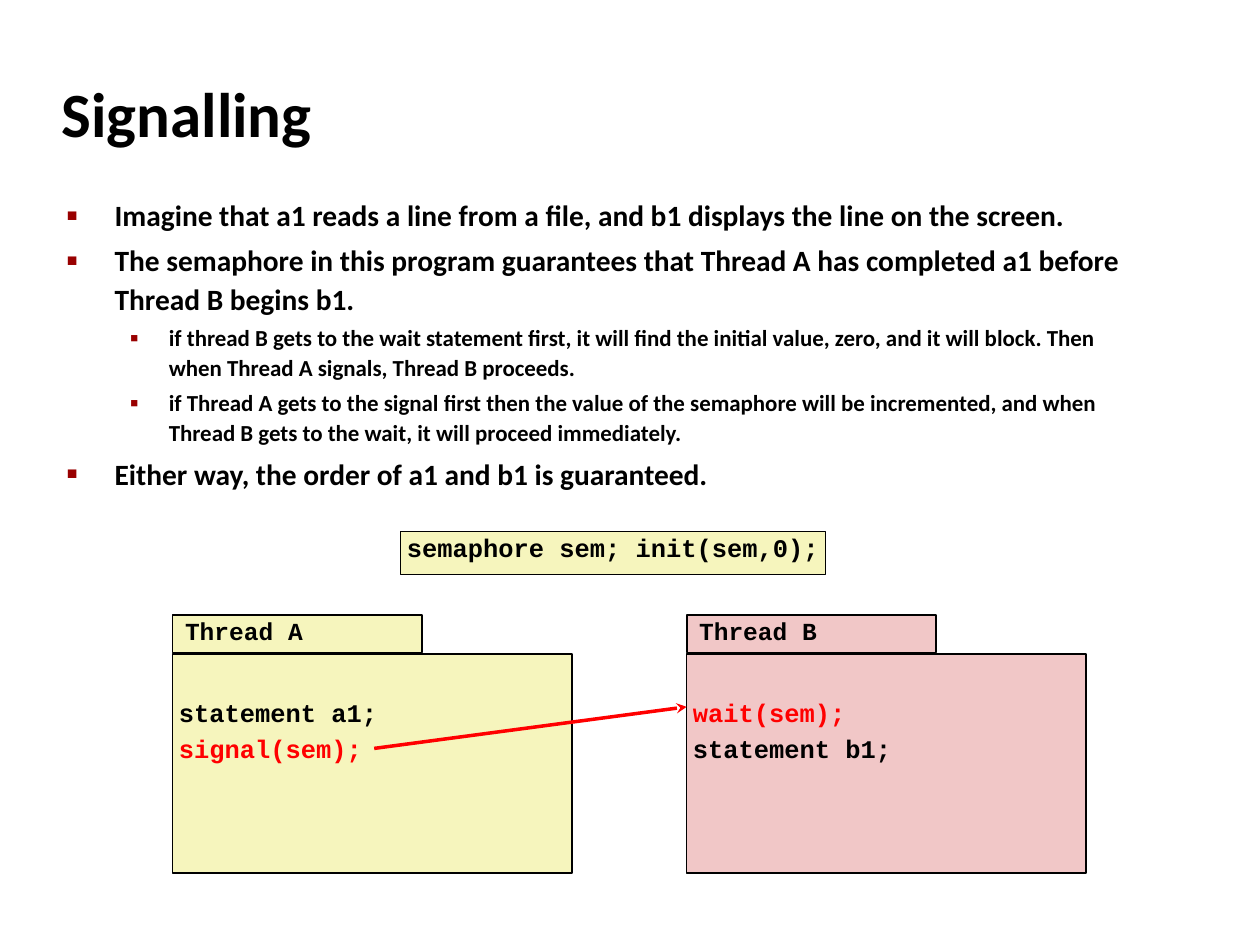
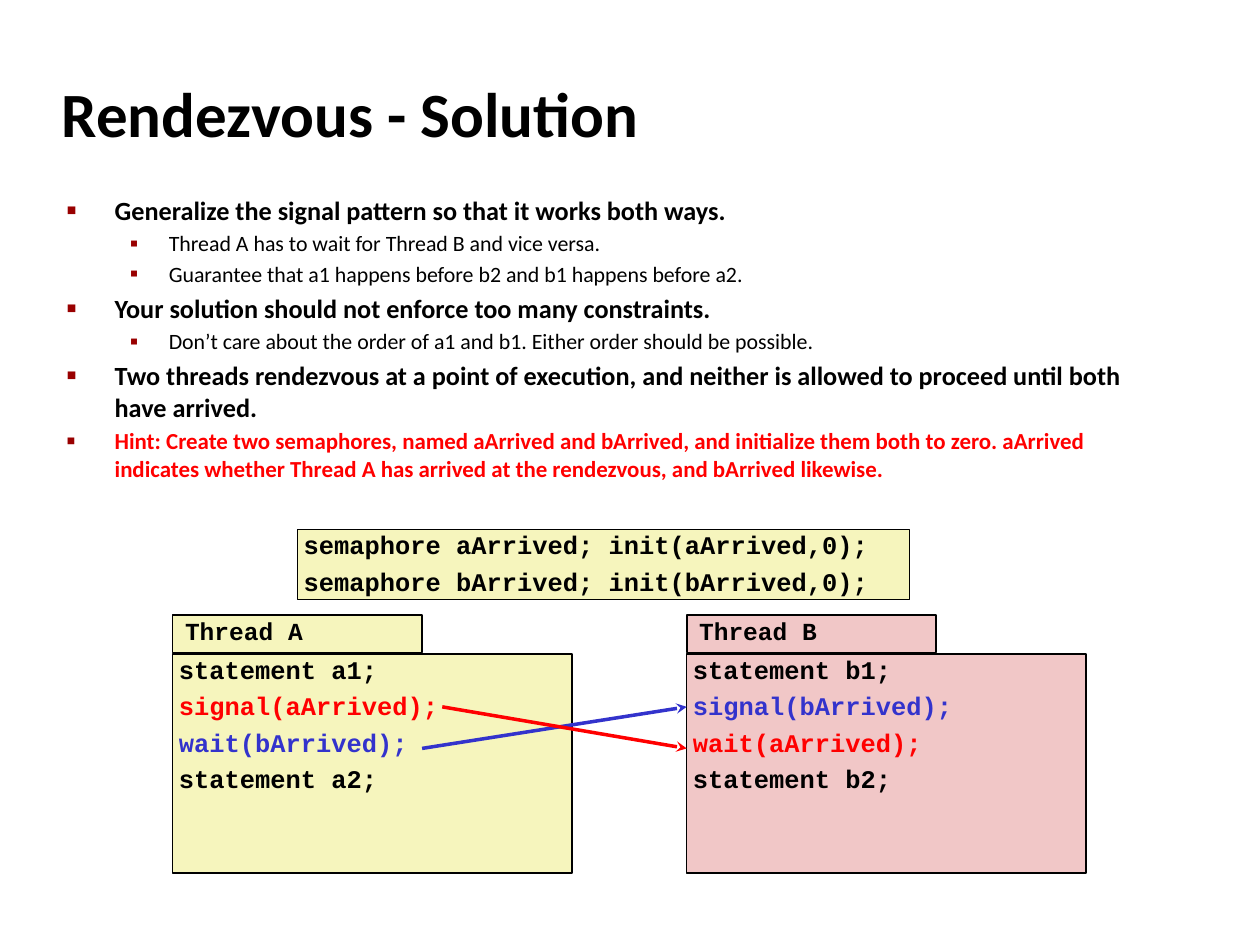
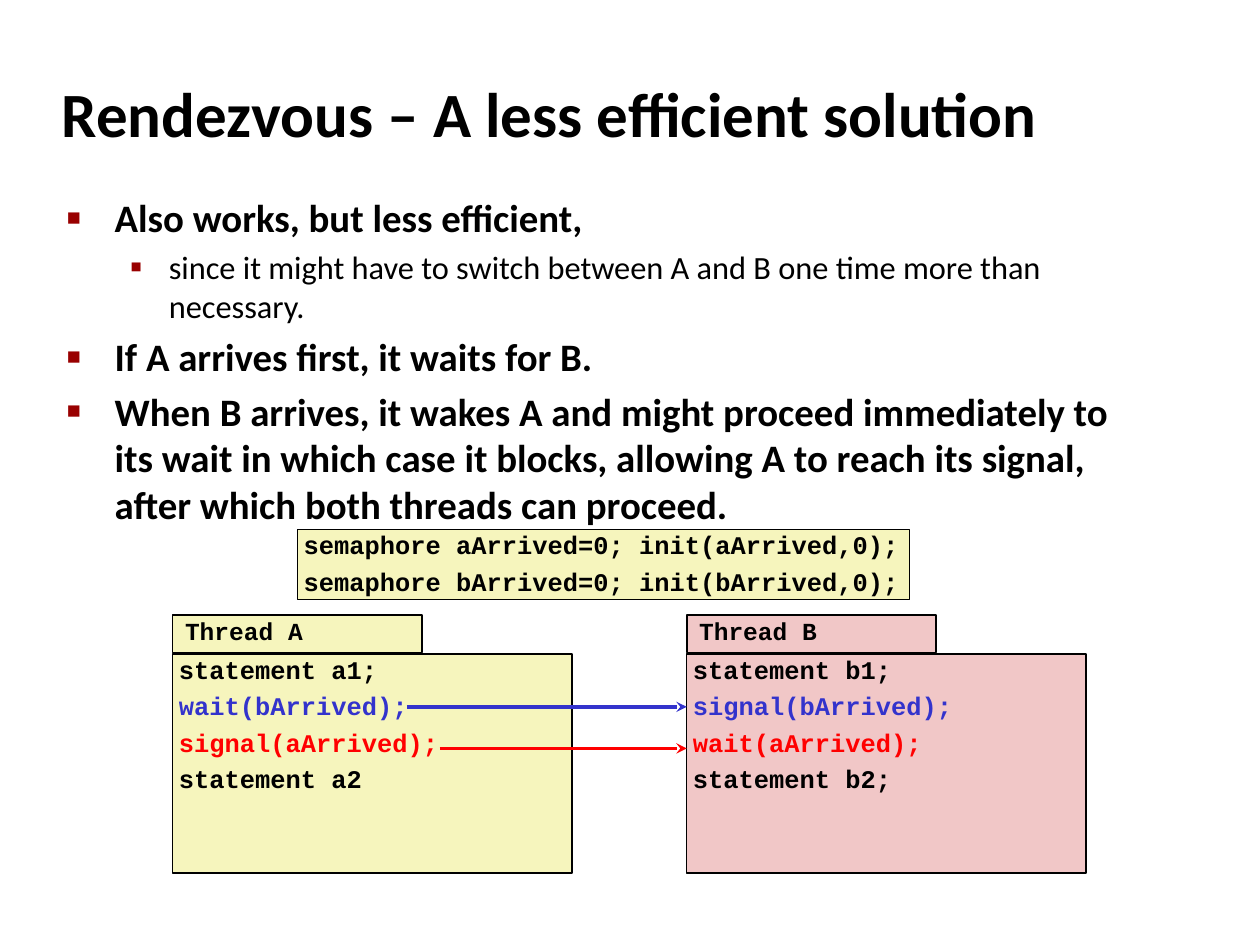
from lxml import etree
from pptx import Presentation
from pptx.dml.color import RGBColor
from pptx.enum.shapes import MSO_CONNECTOR, MSO_SHAPE
from pptx.enum.text import MSO_ANCHOR, MSO_AUTO_SIZE, PP_ALIGN
from pptx.oxml.ns import qn
from pptx.util import Inches, Pt

RECTANGLE = MSO_SHAPE.RECTANGLE
STRAIGHT = MSO_CONNECTOR.STRAIGHT
TOP, MIDDLE = MSO_ANCHOR.TOP, MSO_ANCHOR.MIDDLE
FIXED, GROW = MSO_AUTO_SIZE.NONE, MSO_AUTO_SIZE.SHAPE_TO_FIT_TEXT
LEFT = PP_ALIGN.LEFT

BLACK = RGBColor(0x00, 0x00, 0x00)
RED = RGBColor(0xFF, 0x00, 0x00)
BLUE = RGBColor(0x33, 0x33, 0xCC)
YELLOW = RGBColor(0xF6, 0xF5, 0xBD)
PINK = RGBColor(0xF1, 0xC7, 0xC7)
BULLET_COLOR = "990000"

TEXT_FONT = "Calibri"
CODE_FONT = "Courier New"

# Regions as left, top, width, height in inches
TITLE_BOX = (0.39, 0.48, 8.3, 0.83)
BODY_BOX = (0.43, 1.49, 8.64, 2.64)
SINGLE_INIT_BOX = (3.18, 4.22, 3.37, 0.34)
DOUBLE_INIT_BOX = (2.36, 4.2, 4.86, 0.56)
THREAD_A_BOX = (1.37, 4.88, 3.17, 2.05)
THREAD_B_BOX = (5.45, 4.88, 3.17, 2.05)
TAB_WIDTH, TAB_HEIGHT = 1.98, 0.31
BLANK_LINE = 0.34
UPPER_ROW, LOWER_ROW = 0.73, 1.06  # arrow heights below the tab's top

# Bullet character, size in percent, left margin and hanging indent per level
BULLETS = [("■", 60, 0.38, 0.38), ("▪", 110, 0.81, 0.31)]


def place(shape, box):
    shape.left, shape.top, shape.width, shape.height = map(Inches, box)


def style_run(paragraph, font_name, size, color=BLACK, bold=True):
    for span in paragraph.runs:
        font = span.font
        font.name, font.size, font.bold = font_name, Pt(size), bold
        font.color.rgb = color


def set_bullet(paragraph, level):
    character, percent, margin, hanging = BULLETS[level]
    paragraph.level = level
    properties = paragraph._p.get_or_add_pPr()
    properties.set("marL", str(Inches(margin)))
    properties.set("indent", str(-Inches(hanging)))
    bullet_color = etree.SubElement(properties, qn("a:buClr"))
    etree.SubElement(bullet_color, qn("a:srgbClr"), val=BULLET_COLOR)
    etree.SubElement(properties, qn("a:buSzPct"), val=str(percent * 1000))
    etree.SubElement(properties, qn("a:buChar"), char=character)


def add_title(page, text):
    title = page.shapes.title
    place(title, TITLE_BOX)
    frame = title.text_frame
    frame.text = text
    frame.auto_size, frame.vertical_anchor = FIXED, MIDDLE
    frame.paragraphs[0].alignment = LEFT
    style_run(frame.paragraphs[0], TEXT_FONT, 36)


def add_list(page, items, line_spacing=1.0):
    """Fill the body with items of level, text, size, bold and colour."""
    body = page.placeholders[1]
    place(body, BODY_BOX)
    frame = body.text_frame
    frame.text = "\n".join(item[1] for item in items)
    frame.auto_size, frame.vertical_anchor = FIXED, TOP
    for paragraph, (level, _, size, bold, color) in zip(frame.paragraphs, items):
        paragraph.line_spacing = line_spacing
        set_bullet(paragraph, level)
        style_run(paragraph, TEXT_FONT, size, color, bold)


def add_code(page, box, fill, lines, size=14.5, border=0.75, side=0.05):
    """Draw a filled rectangle holding lines of text and colour."""
    shape = page.shapes.add_shape(RECTANGLE, *map(Inches, box))
    shape.shadow.inherit = False
    shape.fill.solid()
    shape.fill.fore_color.rgb = fill
    shape.line.color.rgb = BLACK
    shape.line.width = Pt(border)
    frame = shape.text_frame
    frame.text = "\n".join(text for text, _ in lines)
    frame.word_wrap = True
    frame.vertical_anchor = TOP
    frame.margin_left = frame.margin_right = Inches(side)
    frame.margin_top = frame.margin_bottom = Inches(0.05)
    for paragraph, (_, color) in zip(frame.paragraphs, lines):
        paragraph.alignment = LEFT
        paragraph.line_spacing, paragraph.space_before = 0.8, Pt(6.8)
        style_run(paragraph, CODE_FONT, size, color)
    return frame


def add_thread(page, box, name, fill, lines, skip=0):
    """Draw a thread as a code panel under a name tab."""
    left, top, width, height = box
    panel = (left, top + TAB_HEIGHT, width, height - TAB_HEIGHT)
    code = add_code(page, panel, fill, lines)
    code.margin_top = Inches(0.05 + skip)
    tab = add_code(page, (left, top, TAB_WIDTH, TAB_HEIGHT - 0.01), fill,
                   [(name, BLACK)], size=14, border=1, side=0.1)
    tab.vertical_anchor, tab.auto_size = MIDDLE, GROW


def add_arrow(page, start, start_row, end_row, color):
    """Point from a statement of thread A to the left side of thread B."""
    left, top = THREAD_A_BOX[:2]
    ends = (left + start, top + start_row, THREAD_B_BOX[0], top + end_row)
    arrow = page.shapes.add_connector(STRAIGHT, *map(Inches, ends))
    arrow.line.color.rgb = color
    arrow.line.width = Pt(2)
    etree.SubElement(arrow.line._get_or_add_ln(), qn("a:tailEnd"), type="stealth")
    etree.SubElement(arrow._element.spPr, qn("a:effectLst"))


def add_page(deck, title, items, line_spacing, init_box, init_lines,
             code_a, code_b, arrows, skip=0):
    page = deck.slides.add_slide(deck.slide_layouts[1])
    add_title(page, title)
    add_list(page, items, line_spacing)
    add_thread(page, THREAD_A_BOX, "Thread A", YELLOW, code_a, skip)
    add_thread(page, THREAD_B_BOX, "Thread B", PINK, code_b, skip)
    add_code(page, init_box, YELLOW, [(line, BLACK) for line in init_lines])
    for arrow in arrows:
        add_arrow(page, *arrow)


def main():
    deck = Presentation()
    deck.slide_width, deck.slide_height = Inches(10), Inches(7.5)

    # Signalling
    add_page(
        deck, "Signalling",
        [(0, "Imagine that a1 reads a line from a file, and b1 displays the line "
             "on the screen.", 16.8, True, BLACK),
         (0, "The semaphore in this program guarantees that Thread A has completed "
             "a1 before Thread B begins b1.", 16.8, True, BLACK),
         (1, "if thread B gets to the wait statement first, it will find the initial "
             "value, zero, and it will block. Then when Thread A signals, Thread B "
             "proceeds.", 13.1, True, BLACK),
         (1, "if Thread A gets to the signal first then the value of the semaphore "
             "will be incremented, and when Thread B gets to the wait, it will "
             "proceed immediately.", 13.1, True, BLACK),
         (0, "Either way, the order of a1 and b1 is guaranteed.", 16.8, True, BLACK)],
        1.1, SINGLE_INIT_BOX, ["semaphore sem; init(sem,0);"],
        [("statement a1;", BLACK), ("signal(sem);", RED)],
        [("wait(sem);", RED), ("statement b1;", BLACK)],
        [(1.6, LOWER_ROW, UPPER_ROW, RED)], skip=BLANK_LINE)

    # Both rendezvous pages share the code of thread B
    rendezvous_b = [("statement b1;", BLACK), ("signal(bArrived);", BLUE),
                    ("wait(aArrived);", RED), ("statement b2;", BLACK)]

    # Rendezvous with signal first
    add_page(
        deck, "Rendezvous - Solution",
        [(0, "Generalize the signal pattern so that it works both ways.",
          15, True, BLACK),
         (1, "Thread A has to wait for Thread B and vice versa.", 12.5, False, BLACK),
         (1, "Guarantee that a1 happens before b2 and b1 happens before a2.",
          12.5, False, BLACK),
         (0, "Your solution should not enforce too many constraints.",
          15, True, BLACK),
         (1, "Don’t care about the order of a1 and b1. Either order should be "
             "possible.", 12.5, False, BLACK),
         (0, "Two threads rendezvous at a point of execution, and neither is allowed "
             "to proceed until both have arrived.", 15, True, BLACK),
         (0, "Hint: Create two semaphores, named aArrived and bArrived, and "
             "initialize them both to zero. aArrived indicates whether Thread A has "
             "arrived at the rendezvous, and bArrived likewise.", 13.1, True, RED)],
        1.0, DOUBLE_INIT_BOX,
        [f"semaphore {name}; init({name},0);" for name in ("aArrived", "bArrived")],
        [("statement a1;", BLACK), ("signal(aArrived);", RED),
         ("wait(bArrived);", BLUE), ("statement a2;", BLACK)],
        rendezvous_b,
        [(1.98, LOWER_ROW, UPPER_ROW, BLUE), (2.14, UPPER_ROW, LOWER_ROW, RED)])

    # Rendezvous with wait first
    add_page(
        deck, "Rendezvous – A less efficient solution",
        [(0, "Also works, but less efficient,", 22.2, True, BLACK),
         (1, "since it might have to switch between A and B one time more than "
             "necessary.", 18.5, False, BLACK),
         (0, "If A arrives first, it waits for B.", 22.2, True, BLACK),
         (0, "When B arrives, it wakes A and might proceed immediately to its wait "
             "in which case it blocks, allowing A to reach its signal, after which "
             "both threads can proceed.", 22.2, True, BLACK)],
        1.0, DOUBLE_INIT_BOX,
        [f"semaphore {name}=0; init({name},0);" for name in ("aArrived", "bArrived")],
        [("statement a1;", BLACK), ("wait(bArrived);", BLUE),
         ("signal(aArrived);", RED), ("statement a2", BLACK)],
        rendezvous_b,
        [(1.86, UPPER_ROW, UPPER_ROW, BLUE), (2.12, LOWER_ROW, LOWER_ROW, RED)])

    deck.save("out.pptx")


if __name__ == "__main__":
    main()
